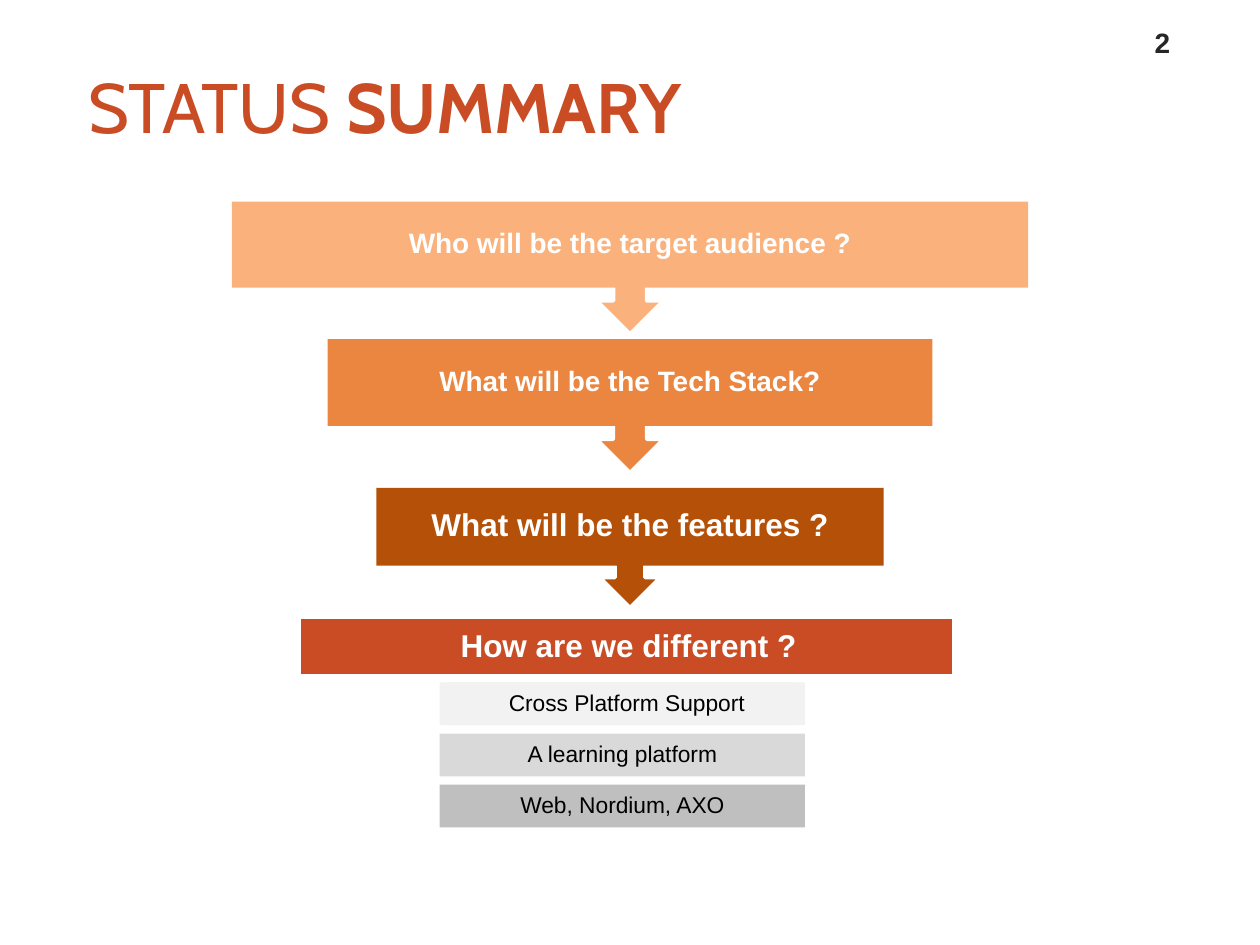
from pptx import Presentation
from pptx.dml.color import RGBColor
from pptx.enum.shapes import MSO_SHAPE
from pptx.enum.text import MSO_ANCHOR, PP_ALIGN
from pptx.util import Pt

RECTANGLE = MSO_SHAPE.RECTANGLE
CALLOUT = MSO_SHAPE.UP_ARROW_CALLOUT
MIDDLE, BOTTOM = MSO_ANCHOR.MIDDLE, MSO_ANCHOR.BOTTOM
LEFT, CENTER = PP_ALIGN.LEFT, PP_ALIGN.CENTER

WHITE = RGBColor(0xFF, 0xFF, 0xFF)
BLACK = RGBColor(0x00, 0x00, 0x00)
CHARCOAL = RGBColor(0x26, 0x26, 0x26)
RED = RGBColor(0xC9, 0x4C, 0x25)
PEACH = RGBColor(0xFA, 0xB1, 0x7B)
ORANGE = RGBColor(0xEA, 0x86, 0x40)
BROWN = RGBColor(0xB4, 0x50, 0x07)
PALE_GREY = RGBColor(0xF2, 0xF2, 0xF2)
LIGHT_GREY = RGBColor(0xD9, 0xD9, 0xD9)
MID_GREY = RGBColor(0xBF, 0xBF, 0xBF)

PAGE_WIDTH, PAGE_HEIGHT = 720, 540
BODY_SHARE = 0.65
BAR_LEFT, BAR_TOP, BAR_STEP = 251.2, 390, 29.2
BAR_WIDTH, BAR_HEIGHT, BAR_SHIFT = 208.8, 24.5, 5

QUESTIONS = [
    ("Who will be the target audience ?", 115.2, 455, 75.6, PEACH, 16),
    ("What will be the Tech Stack?", 193.8, 345.6, 76.3, ORANGE, 16),
    ("What will be the features ?", 278.8, 290, 68.4, BROWN, 18),
]
ANSWERS = [
    ("Cross Platform Support", PALE_GREY),
    ("A learning platform", LIGHT_GREY),
    ("Web, Nordium, AXO", MID_GREY),
]


def set_all(target, values):
    for name, value in values.items():
        setattr(target, name, value)


def write(box, spans, size, color, font="Arial", align=CENTER, spacing=1.0,
          anchor=MIDDLE, insets=(7.2, 3.6, 7.2, 3.6)):
    left, top, right, bottom = map(Pt, insets)
    set_all(box.text_frame, {
        "word_wrap": True, "vertical_anchor": anchor,
        "margin_left": left, "margin_top": top,
        "margin_right": right, "margin_bottom": bottom,
    })
    para = box.text_frame.paragraphs[0]
    set_all(para, {"alignment": align, "line_spacing": spacing})
    for text, bold in spans:
        span = para.add_run()
        span.text = text
        set_all(span.font, {"name": font, "size": Pt(size), "bold": bold})
        span.font.color.rgb = color


def add_text(page, place, spans, size, color, **layout):
    box = page.shapes.add_textbox(*map(Pt, place))
    write(box, spans, size, color, **layout)


def add_block(page, kind, place, fill, outlined=False):
    block = page.shapes.add_shape(kind, *map(Pt, place))
    block.shadow.inherit = False
    block.fill.solid()
    block.fill.fore_color.rgb = fill
    if outlined:
        block.line.color.rgb = WHITE
        block.line.width = Pt(2)
    else:
        block.line.fill.background()
    return block


def add_label(page, place, fill, text, size, color=WHITE, bold=True, inset=8.64):
    label = add_block(page, RECTANGLE, place, fill)
    write(label, [(text, bold)], size, color, spacing=0.9, insets=(inset,) * 4)


def add_question(page, text, top, width, height, fill, size):
    left = (PAGE_WIDTH - width) / 2
    callout = add_block(page, CALLOUT, (left, top, width, height), fill, True)
    callout.rotation = 180
    add_label(page, (left, top, width, height * BODY_SHARE), fill, text, size)


def add_answers(page):
    add_block(page, RECTANGLE, (BAR_LEFT, BAR_TOP, BAR_WIDTH - BAR_SHIFT, BAR_HEIGHT),
              PALE_GREY)
    for index, (text, fill) in enumerate(ANSWERS):
        shift = BAR_SHIFT if index == 0 else 0
        place = (BAR_LEFT + shift, BAR_TOP + index * BAR_STEP,
                 BAR_WIDTH - shift, BAR_HEIGHT)
        add_label(page, place, fill, text, 13, BLACK, False, 7.2)


def main():
    deck = Presentation()
    set_all(deck, {"slide_width": Pt(PAGE_WIDTH), "slide_height": Pt(PAGE_HEIGHT)})
    page = deck.slides.add_slide(deck.slide_layouts[6])
    add_text(page, (36, 28.8, 383.8, 62.6), [("STATUS", False), (" SUMMARY", True)],
             40, RED, font="Cabin", align=LEFT, insets=(14.4, 3.6, 0, 3.6))
    add_text(page, (644.4, 13.7, 39.6, 23.8), [("2", True)], 16, CHARCOAL,
             anchor=BOTTOM)
    for question in QUESTIONS:
        add_question(page, *question)
    add_block(page, RECTANGLE, (170.8, 352.8, 374.4, 33.3), RED, True)
    add_label(page, (179.2, 360.7, 360, 18), RED, "How are we different ?", 18)
    add_answers(page)
    deck.save("out.pptx")


if __name__ == "__main__":
    main()
